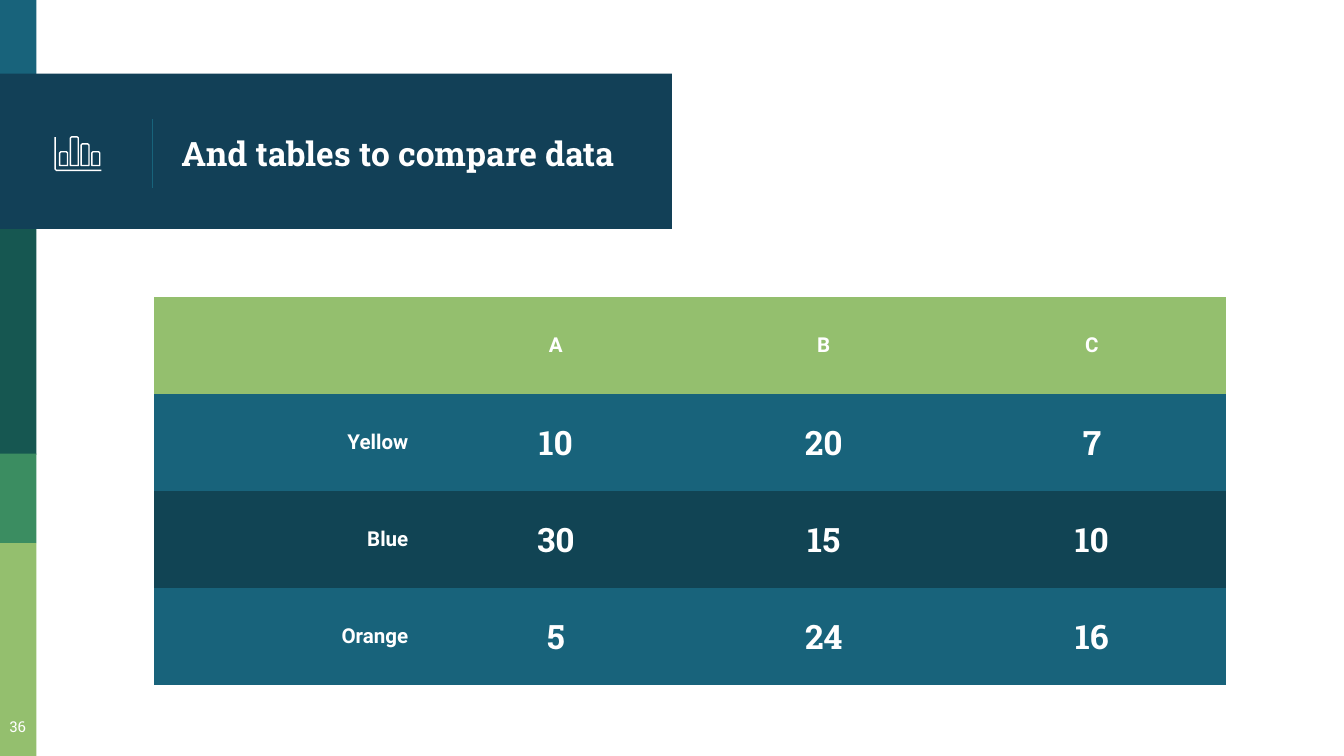
import pptx
import pptx.util
import pptx.dml.color
import pptx.enum.shapes
import pptx.enum.text
import pptx.oxml.ns
import lxml.etree

Pt = pptx.util.Pt
Kind = pptx.enum.shapes.MSO_SHAPE
Align = pptx.enum.text.PP_ALIGN
Anchor = pptx.enum.text.MSO_ANCHOR
qn = pptx.oxml.ns.qn

WHITE, NAVY, BLUE, LIME = "FFFFFF", "124057", "18637B", "94BF6E"
SANS, SLAB = "Roboto", "Roboto Slab"
NO_GRID = "{2D5ABB26-0587-4C30-8999-92F81FD0307C}"
ROWS = [
    ["", "A", "B", "C"],
    ["Yellow", "10", "20", "7"],
    ["Blue", "30", "15", "10"],
    ["Orange", "5", "24", "16"],
]


def color(code):
    return pptx.dml.color.RGBColor.from_string(code)


def paint(item, code):
    item.fill.solid()
    item.fill.fore_color.rgb = color(code)


def style(para, font, size, bold=False, align=Align.LEFT):
    para.alignment = align
    para.font.name = font
    para.font.size = Pt(size)
    para.font.bold = bold
    para.font.color.rgb = color(WHITE)


def inset(frame, size=7.2):
    frame.margin_left = frame.margin_right = Pt(size)
    frame.margin_top = frame.margin_bottom = Pt(size)


def add_rect(slide, left, top, width, height, code):
    rect = slide.shapes.add_shape(
        Kind.RECTANGLE, Pt(left), Pt(top), Pt(width), Pt(height))
    rect.shadow.inherit = False
    paint(rect, code)
    rect.line.fill.background()


def add_strip(slide, left, top, width):
    # Colour blocks down the left edge: offset, height, fill
    blocks = [(0, 42, BLUE), (122.5, 121, "165751"),
              (243, 48, "3B8D61"), (291, 114, LIME)]
    for down, height, code in blocks:
        add_rect(slide, left, top + down, width, height, code)


def add_outline(group, points, close):
    spots = [(Pt(x), Pt(y)) for x, y in points]
    pen = group.shapes.build_freeform(*spots[0])
    pen.add_line_segments(spots[1:], close=close)
    shape = pen.convert_to_shape()
    shape.shadow.inherit = False
    shape.fill.background()
    shape.line.color.rgb = color(WHITE)
    shape.line.width = Pt(0.75)


def add_icon(slide, left, top, width, height):
    group = slide.shapes.add_group_shape()
    # Axes
    base = top + height
    add_outline(group, [(left, top), (left, base - 0.7),
                        (left + 0.7, base), (left + width, base)], False)
    # Bars with softened top corners
    foot, wide, cut = base - 2.6, 4.2, 0.6
    for index, tall in enumerate([7.4, 15.4, 11.6, 7.4]):
        x, y = left + 2.5 + index * 5.75, foot - tall
        add_outline(group, [
            (x, foot), (x, y + cut), (x + cut, y),
            (x + wide - cut, y), (x + wide, y + cut), (x + wide, foot)], True)


def add_header(slide, left, top, width, height):
    add_rect(slide, left, top, width, height, NAVY)
    # Divider
    x = Pt(left + 81.7)
    rule = slide.shapes.add_connector(
        pptx.enum.shapes.MSO_CONNECTOR.STRAIGHT,
        x, Pt(top + 24.5), x, Pt(top + 61))
    rule.line.color.rgb = color(BLUE)
    rule.line.width = Pt(0.75)
    props = rule._element.find(qn("p:spPr"))
    lxml.etree.SubElement(props, qn("a:effectLst"))
    # Title, raised above the band
    title = slide.shapes.title
    title.left, title.top = Pt(left + 90), Pt(top + 2.5)
    title.width, title.height = Pt(253), Pt(80.5)
    frame = title.text_frame
    frame.text = "And tables to compare data"
    frame.word_wrap = True
    frame.auto_size = pptx.enum.text.MSO_AUTO_SIZE.NONE
    frame.vertical_anchor = Anchor.MIDDLE
    inset(frame)
    style(frame.paragraphs[0], SLAB, 18, True)
    rule._element.addnext(title._element)
    add_icon(slide, left + 29.5, top + 34, 24.8, 17.8)


def add_grid(slide, left, top, width, height):
    frame = slide.shapes.add_table(
        len(ROWS), len(ROWS[0]), Pt(left), Pt(top), Pt(width), Pt(height))
    table = frame.table
    table.horz_banding = table.first_row = False
    table._tbl.tblPr.find(qn("a:tableStyleId")).text = NO_GRID
    fills = [LIME, BLUE, "114454", BLUE]
    for r, (row, code) in enumerate(zip(ROWS, fills)):
        for c, word in enumerate(row):
            cell = table.cell(r, c)
            paint(cell, code)
            cell.vertical_anchor = Anchor.MIDDLE
            cell.margin_left = cell.margin_right = Pt(7.2)
            cell.margin_top = cell.margin_bottom = Pt(5)
            cell.text = word
            label = r == 0 or c == 0
            style(cell.text_frame.paragraphs[0],
                  SANS if label else SLAB, 11 if label else 18, True,
                  Align.CENTER if c else Align.RIGHT)


def add_number(slide, left, top, width, height):
    box = slide.shapes.add_textbox(Pt(left), Pt(top), Pt(width), Pt(height))
    frame = box.text_frame
    frame.word_wrap = True
    inset(frame)
    frame.text = "36"
    style(frame.paragraphs[0], SLAB, 8, align=Align.CENTER)


def main():
    deck = pptx.Presentation()
    deck.slide_width, deck.slide_height = Pt(720), Pt(405)
    slide = deck.slides.add_slide(deck.slide_layouts[5])
    add_strip(slide, 0, 0, 19.5)
    add_header(slide, 0, 39.5, 360, 83.2)
    add_grid(slide, 82.4, 159, 574.4, 208)
    add_number(slide, -4, 379.5, 27, 25.5)
    deck.save("out.pptx")


if __name__ == "__main__":
    main()
